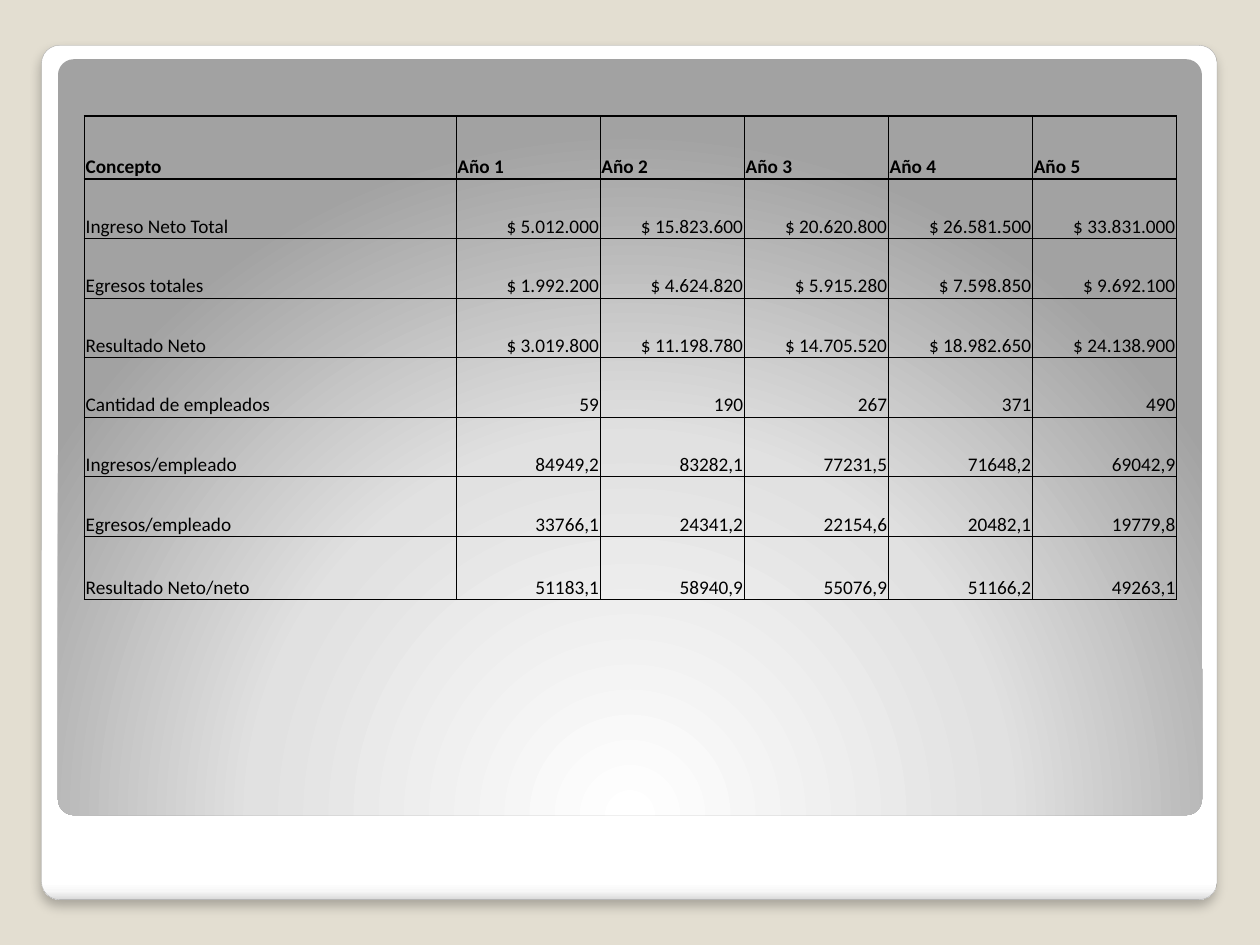
from lxml.etree import SubElement
from pptx import Presentation
from pptx.dml.color import RGBColor
from pptx.enum.shapes import MSO_SHAPE
from pptx.enum.text import MSO_ANCHOR, PP_ALIGN
from pptx.oxml.ns import qn
from pptx.util import Inches, Pt

BACKGROUND = RGBColor(0xE3, 0xDE, 0xD1)
WHITE = RGBColor(0xFF, 0xFF, 0xFF)
OFF_WHITE = RGBColor(0xF7, 0xF7, 0xF7)
EDGE_GREY = RGBColor(0xDA, 0xDA, 0xDA)
LIGHT_GREY = RGBColor(0xE1, 0xE1, 0xE1)
DARK_GREY = RGBColor(0xA2, 0xA2, 0xA2)
OUTLINE = RGBColor(0xA4, 0xA4, 0xA4)
BLACK = RGBColor(0, 0, 0)

HEADER = ["Concepto"] + [f"Año {year}" for year in range(1, 6)]
FIGURES = [
    ["Ingreso Neto Total", "$ 5.012.000", "$ 15.823.600", "$ 20.620.800", "$ 26.581.500", "$ 33.831.000"],
    ["Egresos totales", "$ 1.992.200", "$ 4.624.820", "$ 5.915.280", "$ 7.598.850", "$ 9.692.100"],
    ["Resultado Neto", "$ 3.019.800", "$ 11.198.780", "$ 14.705.520", "$ 18.982.650", "$ 24.138.900"],
    ["Cantidad de empleados", "59", "190", "267", "371", "490"],
    ["Ingresos/empleado", "84949,2", "83282,1", "77231,5", "71648,2", "69042,9"],
    ["Egresos/empleado", "33766,1", "24341,2", "22154,6", "20482,1", "19779,8"],
    ["Resultado Neto/neto", "51183,1", "58940,9", "55076,9", "51166,2", "49263,1"],
]
ROWS = [HEADER] + FIGURES


def add_panel(slide, left, top, width, height, stops):
    """Add a rounded panel; return it with its gradient element, still without direction."""
    panel = slide.shapes.add_shape(
        MSO_SHAPE.ROUNDED_RECTANGLE, Inches(left), Inches(top), Inches(width), Inches(height))
    panel.adjustments[0] = 0.021
    panel.shadow.inherit = False
    panel.fill.gradient()
    gradient = panel._element.spPr.find(qn("a:gradFill"))
    for child in list(gradient):
        gradient.remove(child)
    stop_list = SubElement(gradient, qn("a:gsLst"))
    for percent, color in stops:
        stop = SubElement(stop_list, qn("a:gs"), pos=str(percent * 1000))
        SubElement(stop, qn("a:srgbClr"), val=str(color))
    return panel, gradient


def set_border(cell, side, points):
    border = SubElement(cell._tc.get_or_add_tcPr(), qn(f"a:ln{side}"), w=str(Pt(points)))
    SubElement(SubElement(border, qn("a:solidFill")), qn("a:srgbClr"), val=str(BLACK))


deck = Presentation()
deck.slide_width, deck.slide_height = Inches(10), Inches(7.5)
page = deck.slides.add_slide(deck.slide_layouts[6])
page.background.fill.solid()
page.background.fill.fore_color.rgb = BACKGROUND

# White card with a soft shadow below
card, card_gradient = add_panel(
    page, 0.33, 0.36, 9.33, 6.78,
    [(0, WHITE), (98, WHITE), (99, OFF_WHITE), (100, EDGE_GREY)])
SubElement(card_gradient, qn("a:lin"), ang="5400000", scaled="0")
card.line.color.rgb = OUTLINE
card.line.width = Pt(0.16)
effects = card._element.spPr.find(qn("a:effectLst"))
shadow = SubElement(effects, qn("a:outerShdw"), blurRad=str(Pt(6)), dist=str(Pt(4)),
                    dir="5400000", algn="t", rotWithShape="0")
shadow_color = SubElement(shadow, qn("a:srgbClr"), val=str(BLACK))
SubElement(shadow_color, qn("a:alpha"), val="25000")

# Grey panel, lit from below its lower edge
panel, panel_gradient = add_panel(
    page, 0.46, 0.47, 9.08, 6, [(0, WHITE), (55, LIGHT_GREY), (100, DARK_GREY)])
circle = SubElement(panel_gradient, qn("a:path"), path="circle")
SubElement(circle, qn("a:fillToRect"), l="50000", t="175000", r="50000", b="-75000")
panel.line.fill.background()

# Table of results per year
last_row, last_column = len(ROWS) - 1, len(HEADER) - 1
table = page.shapes.add_table(
    len(ROWS), len(HEADER), Inches(0.67), Inches(0.92), Inches(8.67), Inches(3.83)).table
table.first_row = table.horz_banding = False
for index, column in enumerate(table.columns):
    column.width = Inches(2.95 if index == 0 else 1.144)
for index, row in enumerate(table.rows):
    row.height = Inches(0.5 if index in (0, last_row) else 0.473)

for row_index, texts in enumerate(ROWS):
    for column_index, text in enumerate(texts):
        cell = table.cell(row_index, column_index)
        heavy = {
            "L": column_index == 0,
            "R": column_index == last_column,
            "T": row_index in (0, 1),
            "B": row_index in (0, last_row),
        }
        for side, is_heavy in heavy.items():
            set_border(cell, side, 1 if is_heavy else 0.5)
        cell.fill.background()
        cell.vertical_anchor = MSO_ANCHOR.BOTTOM
        cell.margin_left = cell.margin_right = cell.margin_top = Inches(0.01)
        cell.margin_bottom = 0
        para = cell.text_frame.paragraphs[0]
        is_number = row_index > 0 and column_index > 0
        para.alignment = PP_ALIGN.RIGHT if is_number else PP_ALIGN.LEFT
        span = para.add_run()
        span.text = text
        span.font.name = "Calibri"
        span.font.size = Pt(11)
        span.font.bold = row_index == 0
        span.font.color.rgb = BLACK

deck.save("out.pptx")
